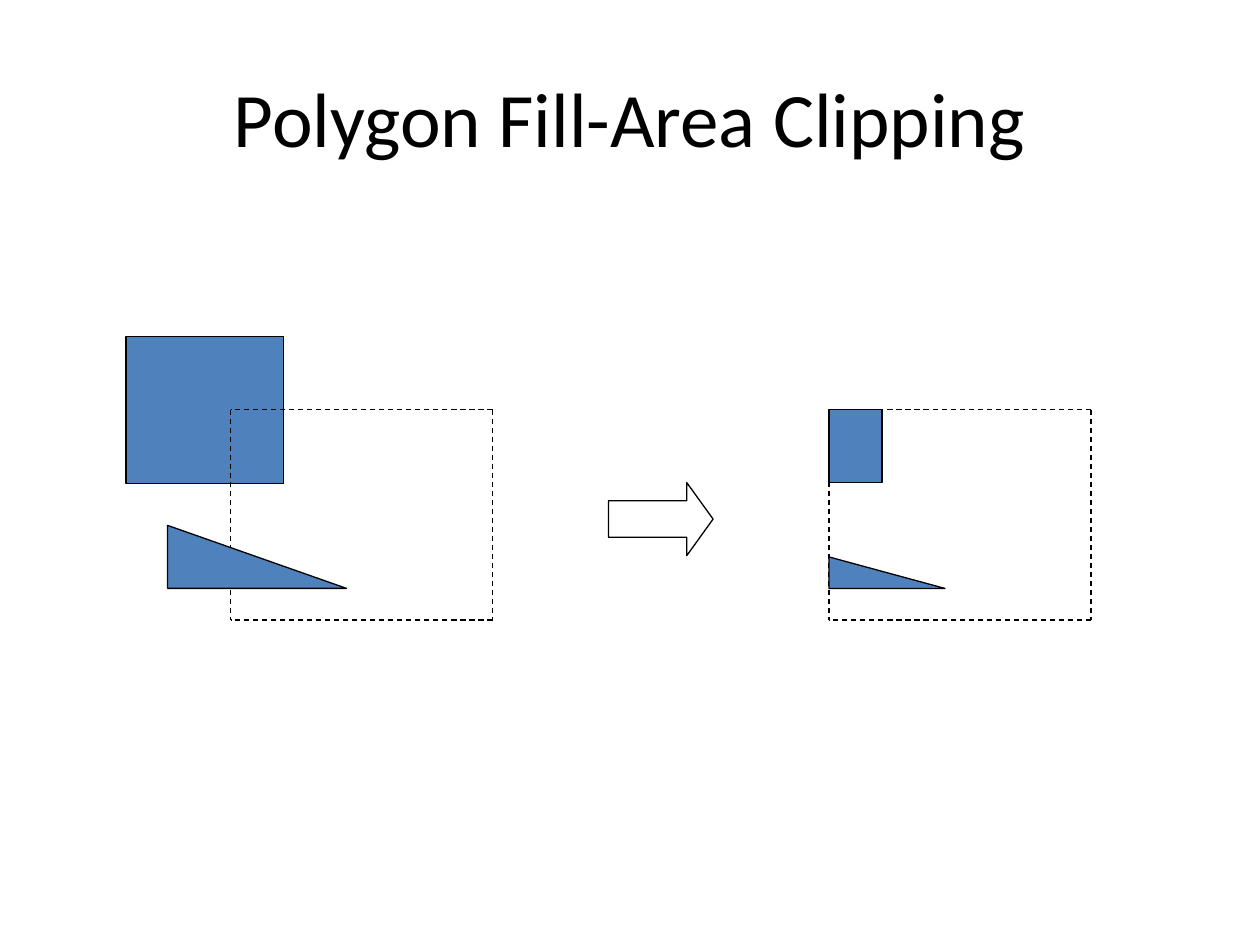
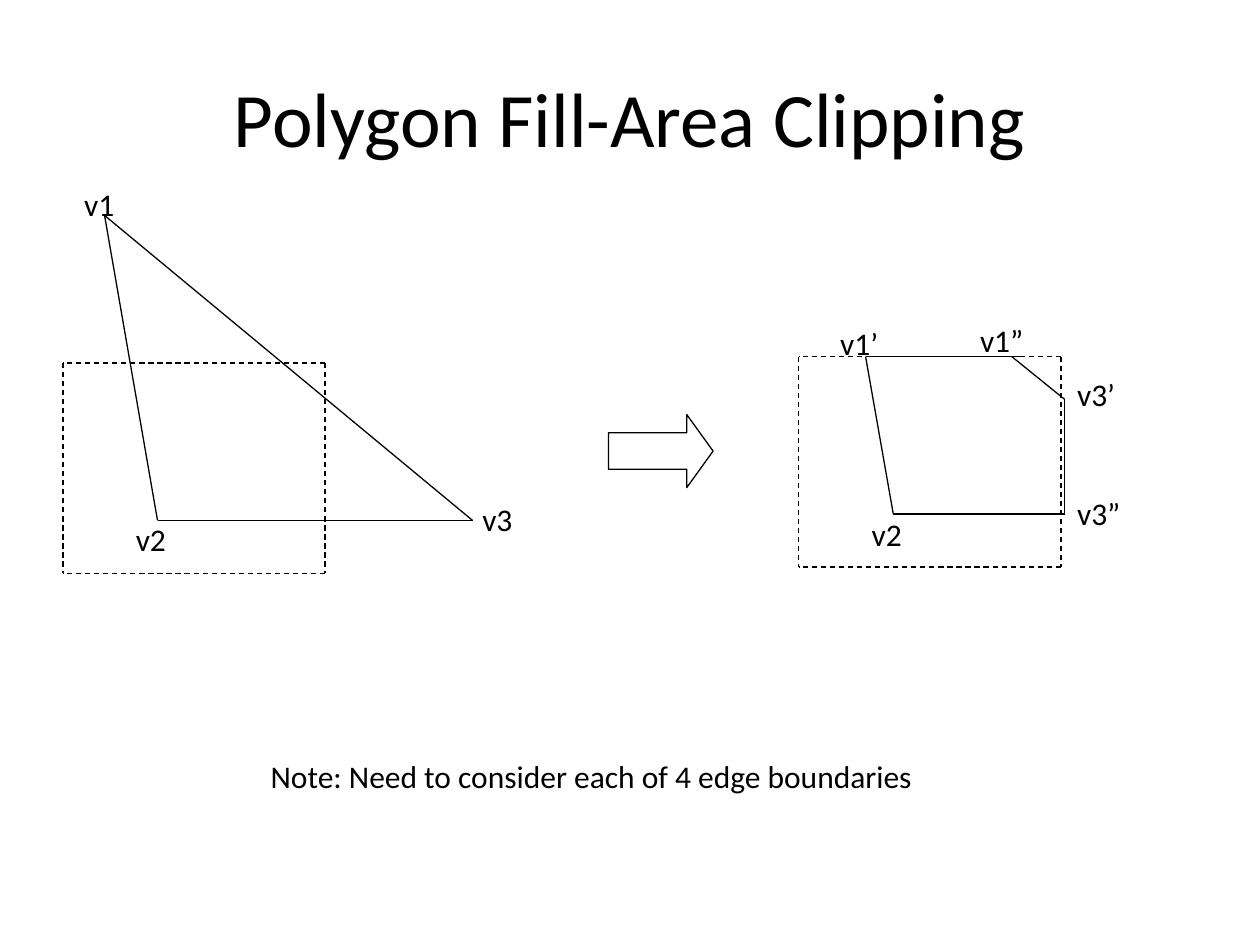
"""Builds two slides on polygon fill-area clipping."""
from dataclasses import dataclass
from typing import Optional

from lxml.etree import SubElement
from pptx import Presentation
from pptx.dml.color import RGBColor
from pptx.enum.dml import MSO_LINE
from pptx.enum.shapes import MSO_CONNECTOR, MSO_SHAPE
from pptx.enum.text import MSO_ANCHOR, PP_ALIGN
from pptx.oxml.ns import qn
from pptx.slide import Slide
from pptx.util import Inches, Pt

Point = tuple[float, float]


@dataclass(frozen=True)
class Theme:
    font: str = "Calibri"
    ink: RGBColor = RGBColor(0x00, 0x00, 0x00)
    polygon: RGBColor = RGBColor(0x4F, 0x81, 0xBD)
    title_size: Pt = Pt(44)
    label_size: Pt = Pt(18)
    line_width: Pt = Pt(0.75)


@dataclass(frozen=True)
class Figure:
    kind: MSO_SHAPE
    left: float
    top: float
    width: float
    height: float
    fill: Optional[RGBColor] = None


@dataclass(frozen=True)
class Label:
    text: str
    left: float
    top: float
    width: float
    height: float = 0.4


@dataclass(frozen=True)
class Edge:
    start: Point
    end: Point


THEME = Theme()
TITLE = Label("Polygon Fill-Area Clipping", 0.5, 0.3, 9, 1.25)
WINDOW_WIDTH, WINDOW_HEIGHT = 2.08, 1.67

SQUARE = Figure(MSO_SHAPE.RECTANGLE, 1, 2.67, 1.25, 1.17, THEME.polygon)
CLIPPED_SQUARE = Figure(MSO_SHAPE.RECTANGLE, 6.58, 3.25, 0.42, 0.58, THEME.polygon)
TRIANGLES = [
    Figure(MSO_SHAPE.RIGHT_TRIANGLE, 1.33, 4.17, 1.42, 0.5, THEME.polygon),
    Figure(MSO_SHAPE.RIGHT_TRIANGLE, 6.58, 4.42, 0.92, 0.25, THEME.polygon),
]

V1, V2, V3 = (0.83, 1.71), (1.25, 4.13), (3.75, 4.13)
TRIANGLE_EDGES = [Edge(V1, V2), Edge(V2, V3), Edge(V1, V3)]
TRIANGLE_LABELS = [
    Label("v1", 0.57, 1.42, 0.47),
    Label("v2", 0.98, 4.08, 0.47),
    Label("v3", 3.73, 3.92, 0.47),
]

CLIPPED_V1, CLIPPED_V2 = (6.87, 2.83), (7.09, 4.08)
CLIPPED_V3_TOP, CLIPPED_V3_BOTTOM = (8.45, 3.17), (8.45, 4.08)
CLIPPED_EDGES = [
    Edge(CLIPPED_V1, CLIPPED_V2),
    Edge(CLIPPED_V2, CLIPPED_V3_BOTTOM),
    Edge((8.03, 2.83), CLIPPED_V3_TOP),
    Edge(CLIPPED_V3_BOTTOM, CLIPPED_V3_TOP),
    Edge(CLIPPED_V1, (8.12, 2.83)),
]
CLIPPED_LABELS = [
    Label("v1’", 6.57, 2.52, 0.52),
    Label("v2", 6.82, 4.04, 0.47),
    Label("v3”", 8.45, 3.87, 0.55),
    Label("v1”", 7.68, 2.5, 0.55),
    Label("v3’", 8.45, 2.93, 0.52),
]
NOTE = Label("Note: Need to consider each of 4 edge boundaries", 2.05, 5.96, 5.78)


def add_label(s: Slide, label: Label, size: Pt = THEME.label_size):
    """Add one line of text and return its text frame."""
    box = s.shapes.add_textbox(Inches(label.left), Inches(label.top),
                               Inches(label.width), Inches(label.height))
    tf = box.text_frame
    tf.word_wrap = False
    tf.text = label.text
    r = tf.paragraphs[0].runs[0]
    r.font.name = THEME.font
    r.font.size = size
    r.font.color.rgb = THEME.ink
    return tf


def add_figure(s: Slide, figure: Figure):
    """Add an outlined preset shape, filled if it has a colour."""
    sp = s.shapes.add_shape(figure.kind, Inches(figure.left), Inches(figure.top),
                            Inches(figure.width), Inches(figure.height))
    sp.shadow.inherit = False
    if figure.fill is None:
        sp.fill.background()
    else:
        sp.fill.solid()
        sp.fill.fore_color.rgb = figure.fill
    sp.line.color.rgb = THEME.ink
    sp.line.width = THEME.line_width
    return sp


def add_edge(s: Slide, edge: Edge, dashed: bool = False) -> None:
    """Add a thin straight line between two points."""
    line = s.shapes.add_connector(MSO_CONNECTOR.STRAIGHT,
                                  *map(Inches, (*edge.start, *edge.end)))
    line.line.color.rgb = THEME.ink
    line.line.width = THEME.line_width
    if dashed:
        line.line.dash_style = MSO_LINE.DASH
    SubElement(line._element.spPr, qn("a:effectLst"))


def add_window(s: Slide, left: float, top: float) -> None:
    """Add the dashed clipping window as four lines."""
    right, bottom = left + WINDOW_WIDTH, top + WINDOW_HEIGHT
    for edge in (
        Edge((left, top), (left, bottom)),
        Edge((right, top), (right, bottom)),
        Edge((right, bottom), (left, bottom)),
        Edge((right, top), (left, top)),
    ):
        add_edge(s, edge, dashed=True)


def add_arrow(s: Slide, top: float) -> None:
    """Add the hollow arrow from the input to the clipped result."""
    sp = add_figure(s, Figure(MSO_SHAPE.RIGHT_ARROW, 4.83, top, 0.83, 0.58))
    sp.adjustments[1] = 0.36


def add_polygon(s: Slide, edges: list[Edge], labels: list[Label]) -> None:
    """Add the edges of a polygon and the names of its vertices."""
    for edge in edges:
        add_edge(s, edge)
    for label in labels:
        add_label(s, label)


def new_slide(prs) -> Slide:
    """Add a blank slide with the shared title."""
    s = prs.slides.add_slide(prs.slide_layouts[6])
    tf = add_label(s, TITLE, THEME.title_size)
    tf.word_wrap = True
    tf.vertical_anchor = MSO_ANCHOR.MIDDLE
    tf.paragraphs[0].alignment = PP_ALIGN.CENTER
    return s


def build_fill_slide(prs) -> None:
    """Show filled shapes before and after clipping."""
    s = new_slide(prs)
    add_figure(s, SQUARE)
    add_window(s, 1.83, 3.25)
    add_figure(s, CLIPPED_SQUARE)
    add_window(s, 6.58, 3.25)
    for triangle in TRIANGLES:
        add_figure(s, triangle)
    add_arrow(s, 3.83)


def build_vertex_slide(prs) -> None:
    """Show how the vertices of a triangle change in clipping."""
    s = new_slide(prs)
    add_window(s, 0.5, 2.88)
    add_polygon(s, TRIANGLE_EDGES, TRIANGLE_LABELS)
    add_window(s, 6.34, 2.83)
    add_polygon(s, CLIPPED_EDGES, CLIPPED_LABELS)
    add_arrow(s, 3.29)
    add_label(s, NOTE)


def main() -> None:
    """Build and save the presentation."""
    prs = Presentation()
    prs.slide_width, prs.slide_height = Inches(10), Inches(7.5)
    build_fill_slide(prs)
    build_vertex_slide(prs)
    prs.save("out.pptx")


if __name__ == "__main__":
    main()
